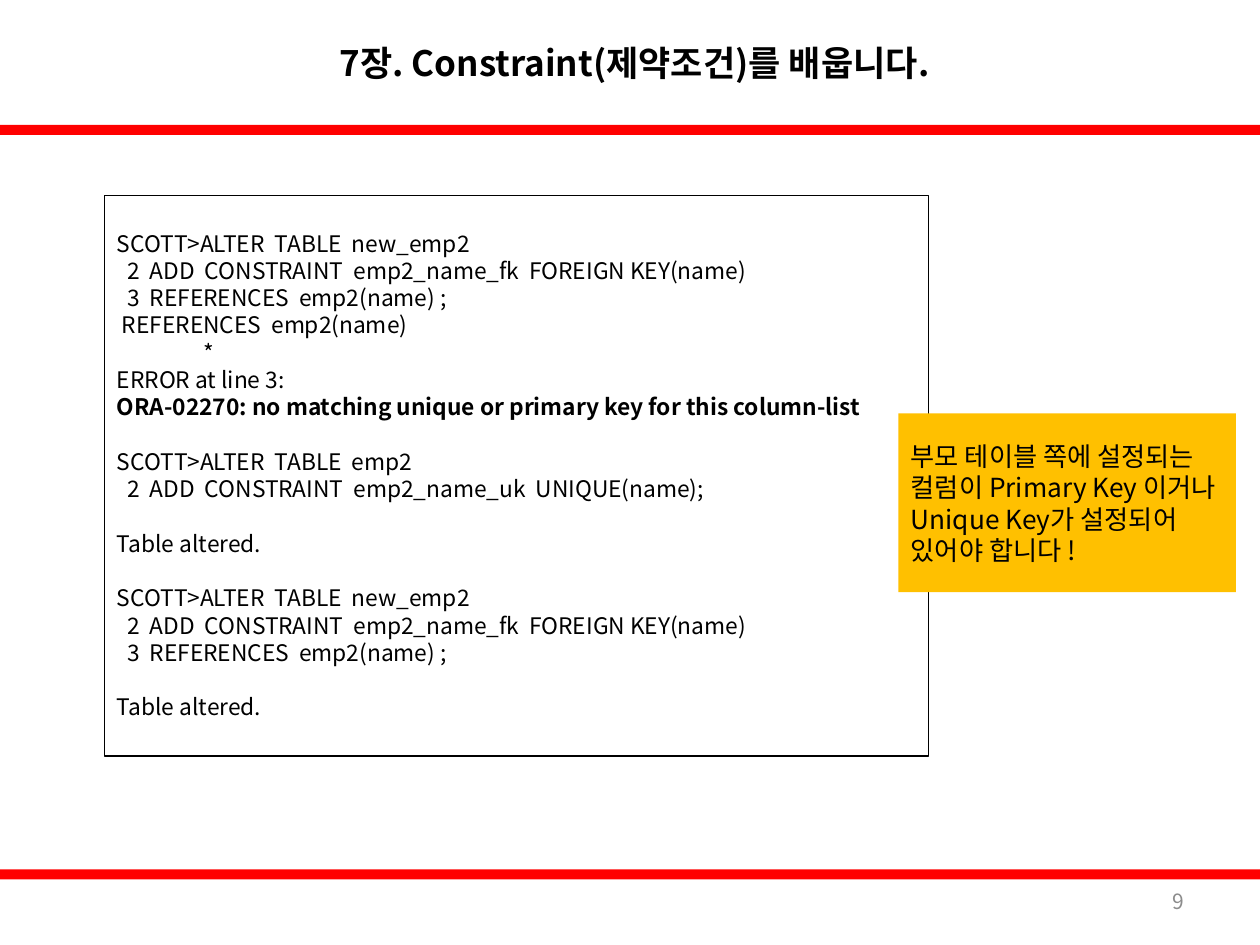
"""Build the slide on foreign key constraints that need a unique parent column."""
import dataclasses

import pptx
import pptx.dml.color
import pptx.enum.shapes
import pptx.enum.text
import pptx.oxml.ns
import pptx.util

Inches = pptx.util.Inches
Pt = pptx.util.Pt
ALIGN = pptx.enum.text.PP_ALIGN
ANCHOR = pptx.enum.text.MSO_ANCHOR


@dataclasses.dataclass(frozen=True)
class Theme:
    font: str = "Noto Sans CJK KR"
    black: str = "000000"
    white: str = "FFFFFF"
    red: str = "FF0000"
    amber: str = "FFC000"
    gray: str = "8C8C8C"
    title_size: int = 20
    callout_size: int = 15
    code_size: int = 13
    number_size: int = 12
    line_factor: float = 1.2


theme = Theme()


def add_rectangle(box, fill, line=None):
    shape = slide.shapes.add_shape(
        pptx.enum.shapes.MSO_SHAPE.RECTANGLE, *[Inches(value) for value in box]
    )
    shape.shadow.inherit = False
    shape.fill.solid()
    shape.fill.fore_color.rgb = pptx.dml.color.RGBColor.from_string(fill)
    if line:
        shape.line.color.rgb = pptx.dml.color.RGBColor.from_string(line)
        shape.line.width = Pt(0.75)
    else:
        shape.line.fill.background()
    return shape


def write_text(paragraph, text, *, size, color=theme.black, bold=False,
               align=ALIGN.LEFT, space_before=0):
    paragraph.alignment = align
    paragraph.line_spacing = Pt(size * theme.line_factor)
    paragraph.space_before = Pt(space_before)
    run = paragraph.add_run()
    run.text = text
    run.font.size = Pt(size)
    run.font.bold = bold
    run.font.name = theme.font
    run.font.color.rgb = pptx.dml.color.RGBColor.from_string(color)
    east_asian = run.font._element.makeelement(
        pptx.oxml.ns.qn("a:ea"), {"typeface": theme.font}
    )
    run.font._element.append(east_asian)


presentation = pptx.Presentation()
presentation.slide_width = Inches(10)
presentation.slide_height = Inches(7.5)
slide = presentation.slides.add_slide(presentation.slide_layouts[6])

for bar_top in (0.99, 6.9):
    add_rectangle((0, bar_top, 10, 0.08), theme.red)

labels = [
    ((1.69, 0, 6.69, 0.99), "7장. Constraint(제약조건)를 배웁니다.",
     dict(size=theme.title_size, bold=True, align=ALIGN.CENTER)),
    ((7.17, 6.95, 2.33, 0.4), "9",
     dict(size=theme.number_size, color=theme.gray, align=ALIGN.RIGHT)),
]
for box, text, text_format in labels:
    label = slide.shapes.add_textbox(*[Inches(value) for value in box])
    label.text_frame.word_wrap = True
    label.text_frame.vertical_anchor = ANCHOR.MIDDLE
    write_text(label.text_frame.paragraphs[0], text, **text_format)

add_foreign_key = [
    "SCOTT>ALTER  TABLE  new_emp2",
    "  2  ADD  CONSTRAINT  emp2_name_fk  FOREIGN KEY(name)",
    "  3  REFERENCES  emp2(name) ;",
]
code_blocks = [
    add_foreign_key + [
        " REFERENCES  emp2(name)",
        "                 *",
        "ERROR at line 3:",
        "ORA-02270: no matching unique or primary key for this column-list",
    ],
    [
        "SCOTT>ALTER  TABLE  emp2",
        "  2  ADD  CONSTRAINT  emp2_name_uk  UNIQUE(name);",
    ],
    ["Table altered."],
    add_foreign_key,
    ["Table altered."],
]
code_frame = add_rectangle((0.83, 1.55, 6.54, 4.45), theme.white, theme.black).text_frame
code_frame.word_wrap = True
code_frame.vertical_anchor = ANCHOR.TOP
code_frame.margin_top = Inches(0.27)
paragraph = code_frame.paragraphs[0]
for block_index, block in enumerate(code_blocks):
    for line_index, line in enumerate(block):
        starts_block = line_index == 0 and block_index > 0
        if block_index or line_index:
            paragraph = code_frame.add_paragraph()
        write_text(
            paragraph, line, size=theme.code_size, align=ALIGN.JUSTIFY,
            bold=line.startswith("ORA-"),
            space_before=theme.code_size * theme.line_factor if starts_block else 0,
        )

callout_frame = add_rectangle((7.13, 3.28, 2.68, 1.42), theme.amber).text_frame
callout_frame.word_wrap = True
callout_frame.vertical_anchor = ANCHOR.MIDDLE
write_text(
    callout_frame.paragraphs[0],
    "부모 테이블 쪽에 설정되는 컬럼이 Primary Key 이거나 Unique Key가 설정되어 있어야 합니다 !",
    size=theme.callout_size,
)

presentation.save("out.pptx")
